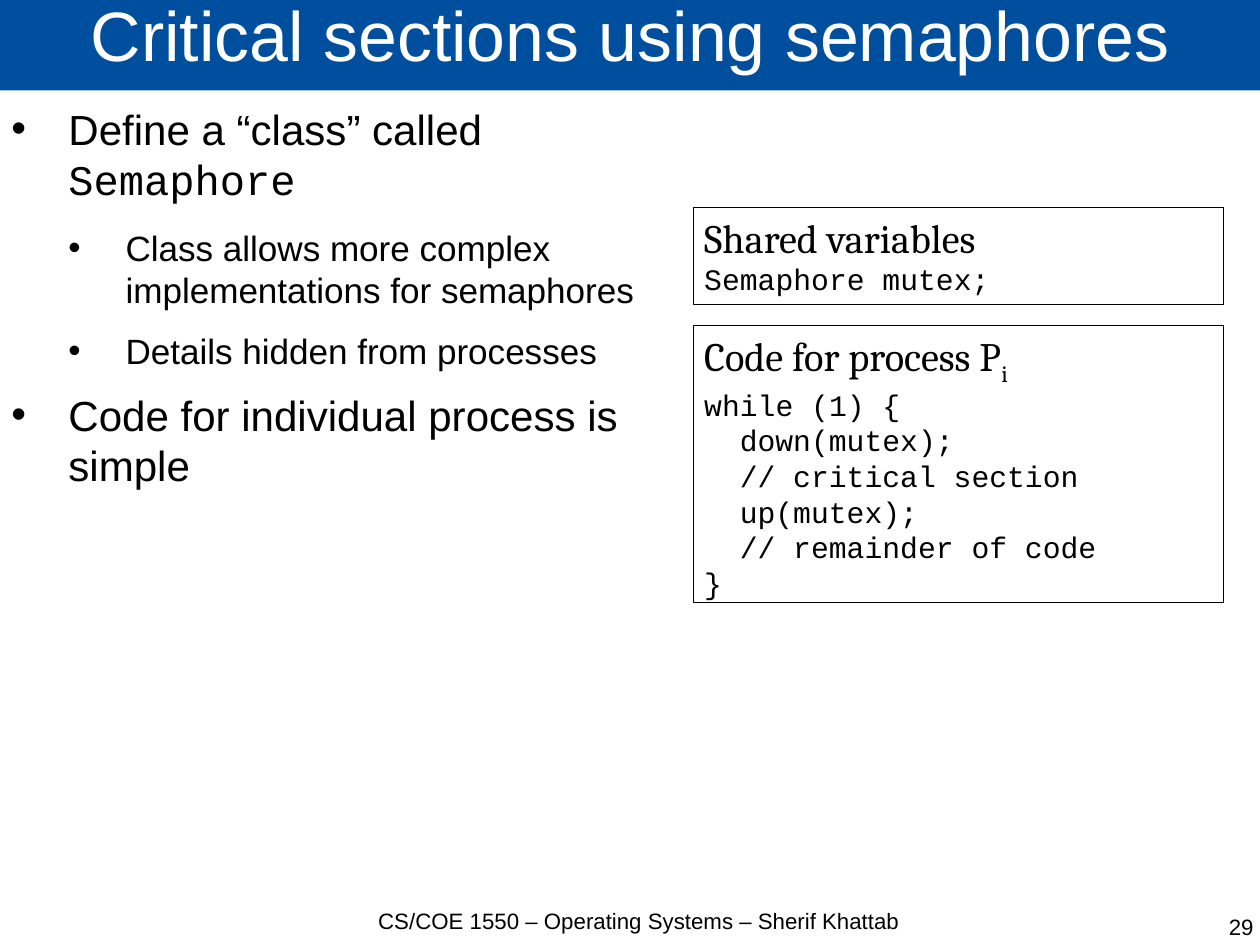
from dataclasses import dataclass

from lxml import etree
from pptx import Presentation
from pptx.dml.color import RGBColor
from pptx.enum.shapes import MSO_SHAPE
from pptx.enum.text import MSO_ANCHOR, MSO_AUTO_SIZE, PP_ALIGN
from pptx.oxml.ns import qn
from pptx.util import Cm, Pt

LEFT, CENTER, RIGHT = PP_ALIGN.LEFT, PP_ALIGN.CENTER, PP_ALIGN.RIGHT
TOP, MIDDLE = MSO_ANCHOR.TOP, MSO_ANCHOR.MIDDLE
NO_FIT, GROW = MSO_AUTO_SIZE.NONE, MSO_AUTO_SIZE.SHAPE_TO_FIT_TEXT
RECTANGLE = MSO_SHAPE.RECTANGLE


@dataclass(frozen=True)
class Theme:
    blue: RGBColor = RGBColor(0x00, 0x4F, 0x9E)
    black: RGBColor = RGBColor(0, 0, 0)
    white: RGBColor = RGBColor(255, 255, 255)
    sans: str = "Arial"
    serif: str = "Cambria"
    mono: str = "Courier New"
    title: float = 44
    bullets: tuple = (26.5, 22.1)
    bullet_gaps: tuple = (14.2, 11.4)
    heading: float = 25.4
    code: float = 18.7
    footer: float = 14
    outline: float = 0.5


THEME = Theme()

TITLE = "Critical sections using semaphores"
BULLETS = [
    (0, [("Define a “class” called ", THEME.sans), ("Semaphore", THEME.mono)]),
    (1, [("Class allows more complex implementations for semaphores", THEME.sans)]),
    (1, [("Details hidden from processes", THEME.sans)]),
    (0, [("Code for individual process is simple", THEME.sans)]),
]
CODE_BOXES = [
    {"heading": "Shared variables", "subscript": "", "top": 4.6, "height": 2.16,
     "code": [(0, "Semaphore mutex;")]},
    {"heading": "Code for process P", "subscript": "i", "top": 7.24, "height": 6.15,
     "code": [(0, "while (1) {"), (1, "down(mutex);"), (1, "// critical section"),
              (1, "up(mutex);"), (1, "// remainder of code"), (0, "}")]},
]
FOOTERS = [
    ("CS/COE 1550 – Operating Systems – Sherif Khattab", CENTER, (7.8, 20.17, 12.8, 1.4)),
    ("29", RIGHT, (21.44, 20.29, 6.42, 1.4)),
]

SLIDE_SIZE = (28, 21)
TITLE_AREA = (0, -0.05, 28.04, 2.06)
BODY_AREA = (0, 2.16, 14.43, 18.08)
CODE_LEFT, CODE_WIDTH = 15.4, 11.78
BULLET_STEP = 1.27
CODE_STEP = 0.79


def place(shape, area):
    shape.left, shape.top, shape.width, shape.height = map(Cm, area)


def prepare(shape, anchor=TOP, fit=NO_FIT, inset=(0.25, 0.13)):
    frame = shape.text_frame
    frame.word_wrap = True
    frame.auto_size = fit
    frame.vertical_anchor = anchor
    frame.margin_left = frame.margin_right = Cm(inset[0])
    frame.margin_top = frame.margin_bottom = Cm(inset[1])
    return frame


def next_paragraph(frame, first, align=LEFT):
    para = frame.paragraphs[0] if first else frame.add_paragraph()
    para.alignment = align
    para.space_before = Pt(0)
    return para


def add_span(para, text, font, size, color=THEME.black):
    span = para.add_run()
    span.text = text
    span.font.name = font
    span.font.size = Pt(size)
    span.font.color.rgb = color
    return span


def indent(para, left, hanging=0):
    properties = para._p.get_or_add_pPr()
    properties.set("marL", str(Cm(left)))
    properties.set("indent", str(-Cm(hanging)))
    return properties


def add_bullet(properties):
    color = etree.SubElement(properties, qn("a:buClr"))
    etree.SubElement(color, qn("a:srgbClr"), val=str(THEME.black))
    etree.SubElement(properties, qn("a:buFont"), typeface=THEME.sans)
    etree.SubElement(properties, qn("a:buChar"), char="•")


def fill_title(title):
    place(title, TITLE_AREA)
    title.fill.solid()
    title.fill.fore_color.rgb = THEME.blue
    para = next_paragraph(prepare(title, MIDDLE), True, CENTER)
    para.line_spacing = 0.69
    add_span(para, TITLE, THEME.sans, THEME.title, THEME.white)


def fill_body(body):
    place(body, BODY_AREA)
    frame = prepare(body)
    for index, (level, spans) in enumerate(BULLETS):
        para = next_paragraph(frame, index == 0)
        para.level = level
        para.space_after = Pt(THEME.bullet_gaps[level])
        add_bullet(indent(para, BULLET_STEP * (level + 1), BULLET_STEP))
        for text, font in spans:
            add_span(para, text, font, THEME.bullets[level])


def add_code_box(page, content):
    area = (CODE_LEFT, content["top"], CODE_WIDTH, content["height"])
    box = page.shapes.add_shape(RECTANGLE, *map(Cm, area))
    box.shadow.inherit = False
    box.fill.background()
    box.line.color.rgb = THEME.black
    box.line.width = Pt(THEME.outline)
    frame = prepare(box, fit=GROW)
    para = next_paragraph(frame, True)
    add_span(para, content["heading"], THEME.serif, THEME.heading)
    if content["subscript"]:
        span = add_span(para, content["subscript"], THEME.serif, THEME.heading)
        span.font._element.set("baseline", "-25000")
    for depth, line in content["code"]:
        para = next_paragraph(frame, False)
        indent(para, CODE_STEP * depth)
        add_span(para, line, THEME.mono, THEME.code)


def add_footer(page, text, align, area):
    box = page.shapes.add_textbox(*map(Cm, area))
    para = next_paragraph(prepare(box, inset=(0, 0)), True, align)
    add_span(para, text, THEME.sans, THEME.footer)


def main():
    deck = Presentation()
    deck.slide_width, deck.slide_height = map(Cm, SLIDE_SIZE)
    page = deck.slides.add_slide(deck.slide_layouts[1])
    fill_title(page.shapes.title)
    fill_body(page.placeholders[1])
    for content in CODE_BOXES:
        add_code_box(page, content)
    for footer in FOOTERS:
        add_footer(page, *footer)
    deck.save("out.pptx")


if __name__ == "__main__":
    main()
